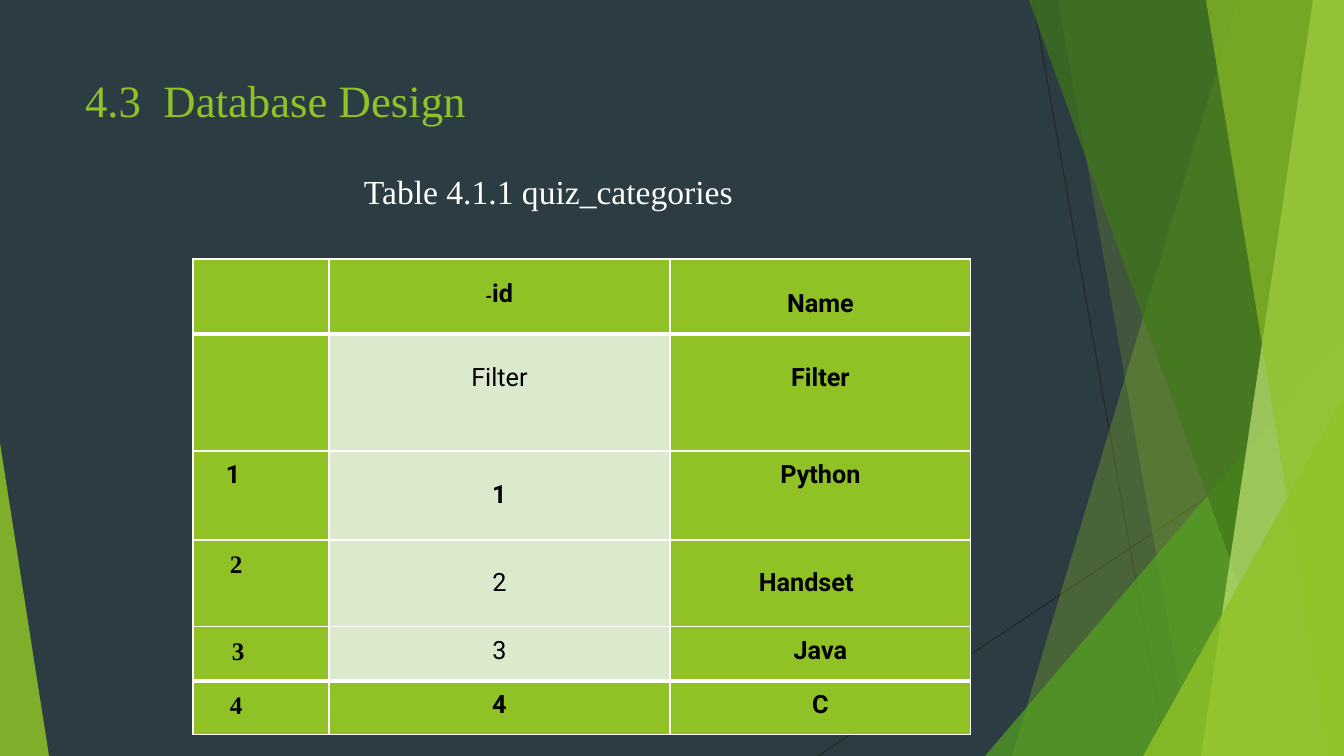
from lxml.etree import SubElement
from pptx import Presentation
from pptx.dml.color import RGBColor
from pptx.enum.shapes import MSO_CONNECTOR, MSO_SHAPE
from pptx.enum.text import MSO_ANCHOR, PP_ALIGN
from pptx.oxml.ns import qn
from pptx.util import Emu, Pt

PX = 914400 / 100.8
COLORS = {
    "background": "2C3C43", "hairline": "262626", "lime": "90C226",
    "leaf": "54A021", "forest": "3F7819", "pale": "C0E474",
    "mint": "DBE9CD", "white": "FFFFFF", "black": "000000",
}
SERIF, SANS = "Times New Roman", "Roboto"


def px(length):
    return Emu(round(length * PX))


def rgb(name):
    return RGBColor.from_string(COLORS[name])


def write_text(paragraph, text, size=18, font=SANS, color="black", bold=False,
               align=PP_ALIGN.LEFT):
    paragraph.alignment = align
    run = paragraph.add_run()
    run.text = text
    run.font.size = Pt(size)
    run.font.name = font
    run.font.bold = bold
    run.font.color.rgb = rgb(color)


def paint_facet(facet, color, opacity):
    facet.shadow.inherit = False
    facet.fill.solid()
    facet.fill.fore_color.rgb = rgb(color)
    facet.line.fill.background()
    tint = facet.fill._xPr.find(qn("a:solidFill"))[0]
    SubElement(tint, qn("a:alpha"), val=str(opacity * 1000))


def add_hairline(slide, start, end):
    hairline = slide.shapes.add_connector(
        MSO_CONNECTOR.STRAIGHT, *map(px, start + end))
    hairline.line.color.rgb = rgb("hairline")
    hairline.line.width = Pt(0.75)
    SubElement(hairline.element.spPr, qn("a:effectLst"))


def add_band(slide, box, top_left, bottom_left, color, opacity):
    left, top, width, height = box
    right, bottom = left + width, top + height
    outline = slide.shapes.build_freeform(left + top_left, top, scale=PX)
    outline.add_line_segments(
        [(right, top), (right, bottom), (left + bottom_left, bottom)])
    paint_facet(outline.convert_to_shape(), color, opacity)


def add_wedge(slide, box, width, height, color, opacity, apex=1):
    left, top, box_width, box_height = box
    wedge = slide.shapes.add_shape(
        MSO_SHAPE.ISOSCELES_TRIANGLE,
        px(left + apex * (box_width - width)), px(top + box_height - height),
        px(width), px(height))
    wedge.adjustments[0] = apex
    paint_facet(wedge, color, opacity)


def add_facets(slide, box):
    left, top, width, height = box
    right, bottom = left + width, top + height
    add_hairline(slide, (left + 1033, top), (left + 1167, bottom))
    add_hairline(slide, (right, top + 406), (left + 818, bottom))
    add_band(slide, box, 1238, 1012, "lime", 30)
    add_band(slide, box, 1058, 1192, "lime", 20)
    add_wedge(slide, box, 359, 420, "leaf", 72)
    add_band(slide, box, 1029, 1301, "forest", 70)
    add_band(slide, box, 1313, 1201, "pale", 70)
    add_band(slide, box, 1206, 1329, "lime", 65)
    add_wedge(slide, box, 201, 360, "lime", 80)
    add_wedge(slide, box, 49, 313, "lime", 85, apex=0)


def fill_placeholder(placeholder, box, text, inset_top, **text_format):
    placeholder.element.getparent().append(placeholder.element)
    placeholder.left, placeholder.top, placeholder.width, placeholder.height = map(px, box)
    frame = placeholder.text_frame
    frame.word_wrap = True
    frame.vertical_anchor = MSO_ANCHOR.TOP
    frame.margin_left = frame.margin_right = px(10)
    frame.margin_top = px(inset_top)
    paragraph = frame.paragraphs[0]
    paragraph.space_before = Pt(0)
    write_text(paragraph, text, **text_format)
    properties = paragraph._p.get_or_add_pPr()
    properties.set("marL", "0")
    properties.set("indent", "0")
    SubElement(properties, qn("a:buNone"))


def set_borders(cell, top, bottom):
    properties = cell._tc.get_or_add_tcPr()
    for position, (side, points) in enumerate(
            [("L", 1), ("R", 1), ("T", top), ("B", bottom)]):
        border = SubElement(properties, qn(f"a:ln{side}"), w=str(Pt(points)))
        stroke = SubElement(border, qn("a:solidFill"))
        SubElement(stroke, qn("a:srgbClr"), val=COLORS["white"])
        properties.insert(position, border)


def add_categories_table(slide, left, top):
    column_widths = [136, 341, 301]
    row_heights = [75, 117, 89, 87, 54, 54]
    bold, serif = {"bold": True}, {"bold": True, "font": SERIF}
    rows = [
        [("", 0, 0, {}), ("id", 20, 0, bold), ("Name", 30, 0, bold)],
        [("", 0, 0, {}), ("Filter", 29, 0, {}), ("Filter", 29, 0, bold)],
        [("1", 9, 33, bold), ("1", 29, 0, bold), ("Python", 9, 0, bold)],
        [("2", 11, 37, serif), ("2", 28, 0, {}), ("Handset", 28, 89, bold)],
        [("3", 11, 39, serif), ("3", 9, 0, {}), ("Java", 9, 0, bold)],
        [("4", 11, 37, serif), ("4", 9, 0, bold), ("C", 9, 0, bold)],
    ]
    last = len(rows) - 1
    categories = slide.shapes.add_table(
        len(rows), len(column_widths), px(left), px(top),
        px(sum(column_widths)), px(sum(row_heights))).table
    categories.first_row = categories.horz_banding = False
    for column, width in zip(categories.columns, column_widths):
        column.width = px(width)
    for r, (entries, height) in enumerate(zip(rows, row_heights)):
        categories.rows[r].height = px(height)
        for c, (text, drop, indent, text_format) in enumerate(entries):
            cell = categories.cell(r, c)
            cell.margin_left, cell.margin_top = px(indent), px(drop)
            cell.margin_right = cell.margin_bottom = 0
            cell.vertical_anchor = MSO_ANCHOR.TOP
            cell.fill.solid()
            cell.fill.fore_color.rgb = rgb(
                "mint" if c == 1 and 0 < r < last else "lime")
            set_borders(cell, 3 if r in (1, last) else 1,
                        3 if r in (0, last - 1) else 1)
            align = PP_ALIGN.LEFT if indent else PP_ALIGN.CENTER
            paragraph = cell.text_frame.paragraphs[0]
            if text == "id":
                write_text(paragraph, "-", size=12, bold=True, align=align)
            if text:
                write_text(paragraph, text, align=align, **text_format)


def build_database_slide(deck, box):
    slide = deck.slides.add_slide(deck.slide_layouts[1])
    slide.background.fill.solid()
    slide.background.fill.fore_color.rgb = rgb("background")
    heading, caption = slide.placeholders
    left, top = box[:2]
    add_facets(slide, box)
    fill_placeholder(heading, (left + 75, top + 68, 947, 145),
                     "4.3  Database Design", 5,
                     size=32, font=SERIF, color="lime")
    fill_placeholder(caption, (left + 75, top + 166, 947, 500),
                     "Table 4.1.1 quiz_categories", 5, size=24, font=SERIF,
                     color="white", align=PP_ALIGN.CENTER)
    add_categories_table(slide, left + 193, top + 259)


def main():
    deck = Presentation()
    deck.slide_width, deck.slide_height = px(1344), px(756)
    build_database_slide(deck, (0, 0, 1344, 756))
    deck.save("out.pptx")


if __name__ == "__main__":
    main()
